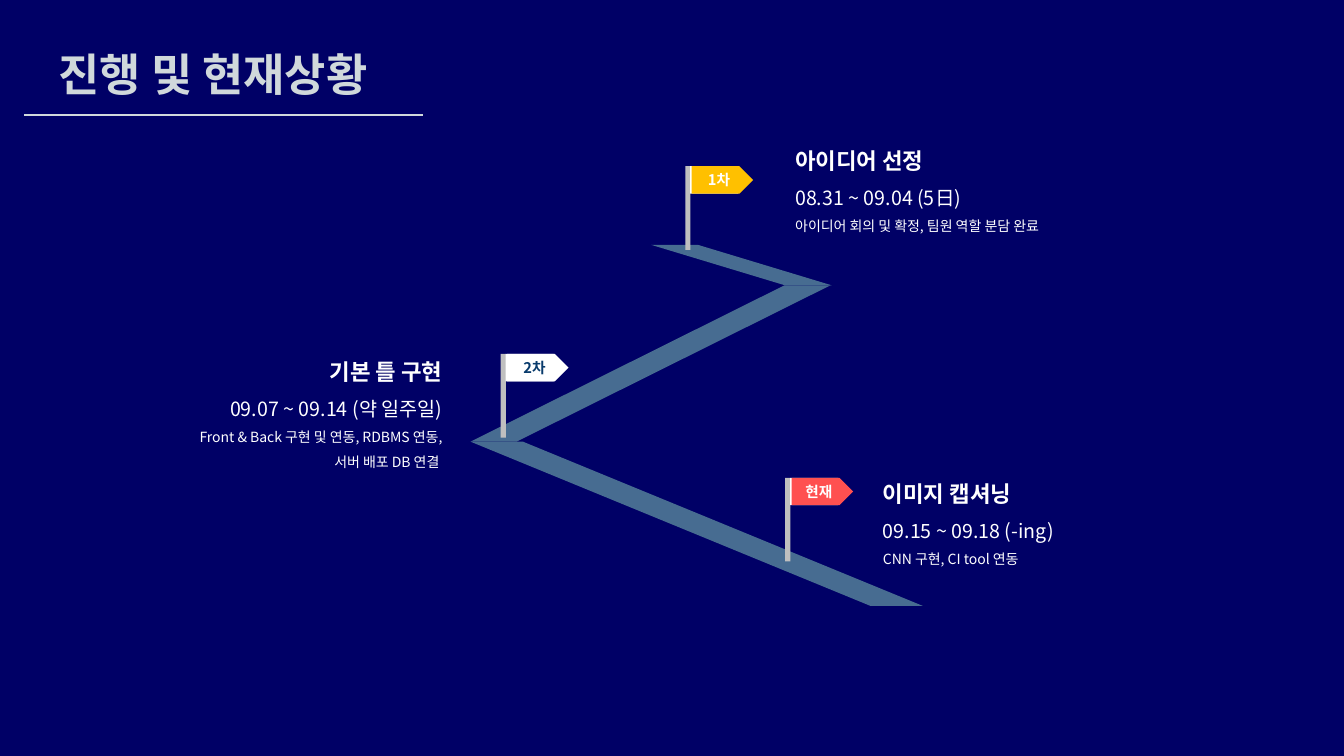
from lxml import etree
from pptx import Presentation
from pptx import util as u
from pptx.dml.color import RGBColor
from pptx.enum import shapes, text
from pptx.oxml import ns

FONT = "Noto Sans CJK KR"
NAVY, PALE, WHITE, ROAD, POLE = "000066", "D0D8DB", "FFFFFF", "476C91", "BFBFBF"

# Left, width, height (cm), slant and whether it leans left, from top to bottom
ROAD_TOP = 6.17
ROAD_PARTS = [
    (16.41, 4.55, 1.02, 3.306, True),
    (11.86, 9.07, 3.94, 2.008, False),
    (11.86, 11.4, 4.14, 2.435, True),
]

# Pole left and top (cm), label, flag colour, label colour
FLAGS = [
    (17.27, 4.19, "1차", "FFC000", WHITE),
    (12.62, 8.92, "2차", WHITE, "093B6C"),
    (19.79, 12.04, "현재", "FF5050", WHITE),
]

# Left, top, width, height (cm), alignment, heading, dates, details
STAGES = [
    (19.79, 3.25, 8.81, 2.82, text.PP_ALIGN.LEFT, "아이디어 선정",
     "08.31 ~ 09.04 (5日)", ["아이디어 회의 및 확정, 팀원 역할 분담 완료"]),
    (4.11, 8.56, 7.29, 3.45, text.PP_ALIGN.RIGHT, "기본 틀 구현",
     "09.07 ~ 09.14 (약 일주일)",
     ["Front & Back 구현 및 연동, RDBMS 연동,", "서버 배포 DB 연결 "]),
    (22, 11.63, 7.29, 2.82, text.PP_ALIGN.LEFT, "이미지 캡셔닝",
     "09.15 ~ 09.18 (-ing)", ["CNN 구현, CI tool 연동"]),
]


def colour(value):
    return RGBColor.from_string(value)


def lengths(*values):
    return [u.Cm(value) for value in values]


def add_span(para, words, size, shade, bold=False):
    span = para.add_run()
    span.text = words
    span.font.name = FONT
    span.font.size = u.Pt(size)
    span.font.bold = bold
    span.font.color.rgb = colour(shade)
    east_asian = etree.SubElement(span.font._element, ns.qn("a:ea"))
    east_asian.set("typeface", FONT)


def add_plain_shape(holder, kind, place, fill):
    shape = holder.add_shape(kind, *lengths(*place))
    shape.fill.solid()
    shape.fill.fore_color.rgb = colour(fill)
    shape.line.fill.background()
    shape.shadow.inherit = False
    return shape


def add_white_edge(shape):
    """Give the shape a sharp white shadow one point to its left."""
    effects = shape.element.spPr.find(ns.qn("a:effectLst"))
    shadow = etree.SubElement(effects, ns.qn("a:outerShdw"), blurRad="0",
                              dist=str(u.Pt(1)), dir="10800000", rotWithShape="0")
    etree.SubElement(shadow, ns.qn("a:srgbClr"), val=WHITE)


def set_title(page, words):
    title = page.shapes.title
    title.left, title.top, title.width, title.height = lengths(1.22, 1.04, 8.84, 1.63)
    frame = title.text_frame
    frame.word_wrap = True
    frame.auto_size = text.MSO_AUTO_SIZE.SHAPE_TO_FIT_TEXT
    frame.vertical_anchor = text.MSO_ANCHOR.TOP
    para = frame.paragraphs[0]
    para.alignment = text.PP_ALIGN.LEFT
    add_span(para, words, 32, PALE, True)


def add_title_rule(page):
    rule = page.shapes.add_connector(shapes.MSO_CONNECTOR.STRAIGHT,
                                     *lengths(0.61, 2.9, 10.67, 2.9))
    rule.line.color.rgb = colour(PALE)
    rule.line.width = u.Pt(1.5)
    etree.SubElement(rule.element.spPr, ns.qn("a:effectLst"))


def add_road(page):
    road = page.shapes.add_group_shape()
    top = ROAD_TOP
    for left, width, height, slant, leans_left in ROAD_PARTS:
        part = add_plain_shape(road.shapes, shapes.MSO_SHAPE.PARALLELOGRAM,
                               (left, top, width, height), ROAD)
        part.adjustments[0] = slant
        if leans_left:
            part.element.spPr.xfrm.set("flipH", "1")
        top += height


def add_flag(page, left, top, label, fill, shade):
    group = page.shapes.add_group_shape()
    add_plain_shape(group.shapes, shapes.MSO_SHAPE.RECTANGLE,
                    (left, top, 0.13, 2.11), POLE)
    flag = add_plain_shape(group.shapes, shapes.MSO_SHAPE.PENTAGON,
                           (left + 0.16, top, 1.55, 0.69), fill)
    add_white_edge(flag)
    frame = flag.text_frame
    frame.margin_left = frame.margin_right = 0
    frame.margin_top = frame.margin_bottom = 0
    frame.vertical_anchor = text.MSO_ANCHOR.MIDDLE
    para = frame.paragraphs[0]
    para.alignment = text.PP_ALIGN.CENTER
    add_span(para, label, 10.5, shade, True)


def add_stage(page, left, top, width, height, align, heading, dates, details):
    box = page.shapes.add_textbox(*lengths(left, top, width, height))
    frame = box.text_frame
    frame.word_wrap = True
    frame.auto_size = text.MSO_AUTO_SIZE.SHAPE_TO_FIT_TEXT
    rows = [(heading, 16, True), (dates, 14, False)]
    rows += [(detail, 10, False) for detail in details]
    for index, (words, size, bold) in enumerate(rows):
        para = frame.add_paragraph() if index else frame.paragraphs[0]
        para.alignment = align
        para.line_spacing = 1.5
        add_span(para, words, size, WHITE, bold)


def main():
    deck = Presentation()
    deck.slide_width, deck.slide_height = lengths(33.87, 19.05)
    page = deck.slides.add_slide(deck.slide_layouts.get_by_name("Title Only"))
    page.background.fill.solid()
    page.background.fill.fore_color.rgb = colour(NAVY)
    set_title(page, "진행 및 현재상황")
    add_title_rule(page)
    add_road(page)
    for flag in FLAGS:
        add_flag(page, *flag)
    for stage in STAGES:
        add_stage(page, *stage)
    deck.save("out.pptx")


if __name__ == "__main__":
    main()
